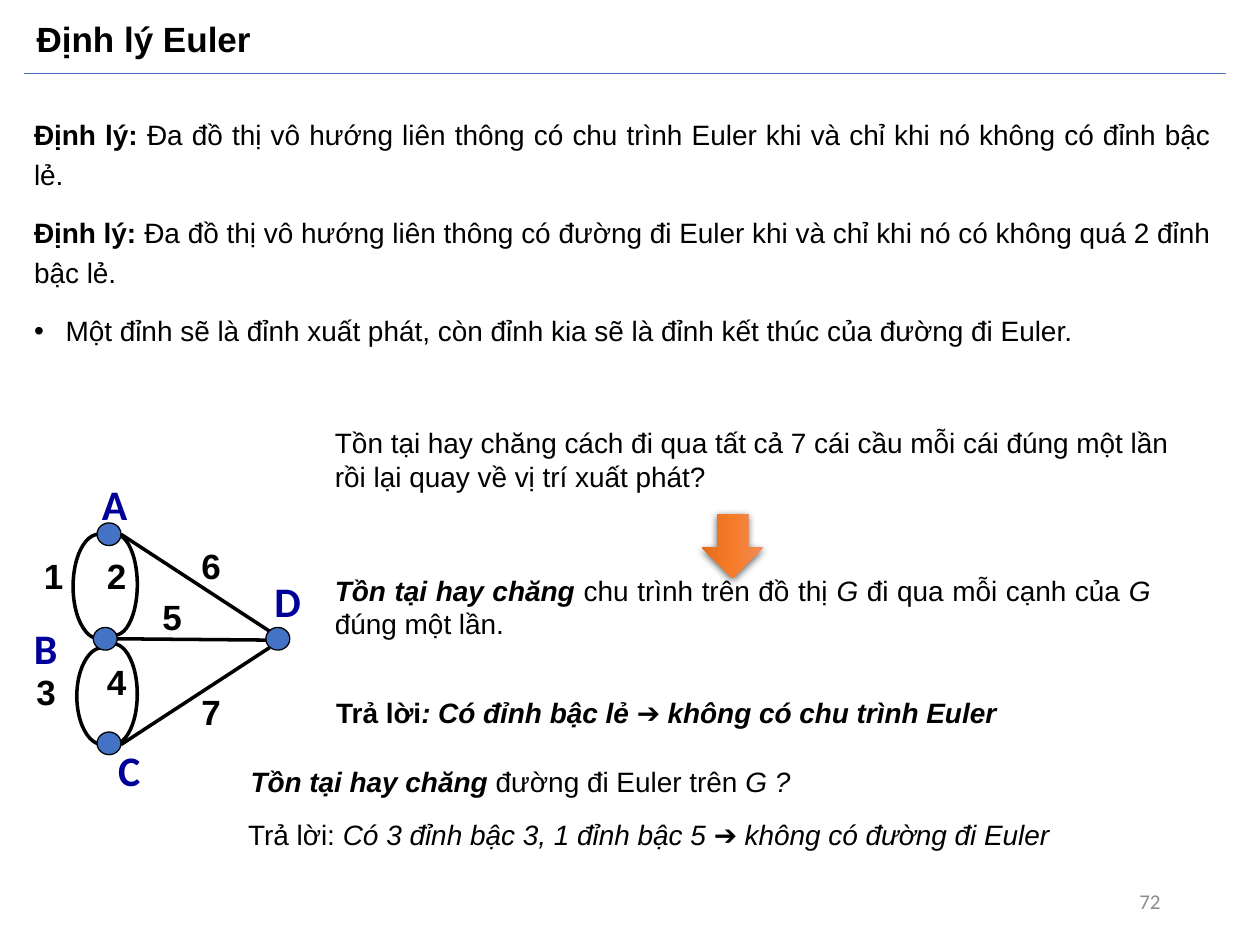
from lxml import etree
from pptx import Presentation
from pptx.dml.color import RGBColor
from pptx.enum.shapes import MSO_CONNECTOR, MSO_SHAPE
from pptx.enum.text import MSO_ANCHOR, MSO_AUTO_SIZE, PP_ALIGN
from pptx.oxml import parse_xml
from pptx.oxml.ns import nsdecls, qn
from pptx.util import Inches, Pt

BLACK = RGBColor(0x00, 0x00, 0x00)
WHITE = RGBColor(0xFF, 0xFF, 0xFF)
BLUE = RGBColor(0x44, 0x72, 0xC4)
NAVY = RGBColor(0x00, 0x00, 0x99)
GREY = RGBColor(0x8C, 0x8C, 0x8C)


def write_spans(para, spans, size=16, font="Arial", color=BLACK, align=PP_ALIGN.LEFT):
    """Each span is (text, style); style holds b for bold and i for italic."""
    para.alignment = align
    for text, style in spans:
        span = para.add_run()
        span.text = text
        span.font.name = font
        span.font.size = Pt(size)
        span.font.color.rgb = color
        span.font.bold = "b" in style
        span.font.italic = "i" in style


def add_text(spans, left, top, width, height, wrap=True, grow=True, **text_format):
    box = page.shapes.add_textbox(Inches(left), Inches(top), Inches(width), Inches(height))
    frame = box.text_frame
    frame.word_wrap = wrap
    frame.auto_size = MSO_AUTO_SIZE.SHAPE_TO_FIT_TEXT if grow else MSO_AUTO_SIZE.NONE
    write_spans(frame.paragraphs[0], spans, **text_format)
    return box


deck = Presentation()
deck.slide_width, deck.slide_height = Inches(10), Inches(7.5)
page = deck.slides.add_slide(deck.slide_layouts[1])

# Slide number
number = add_text([("72", "")], 7.06, 6.95, 2.25, 0.4, grow=False, size=12,
                  font="Calibri", color=GREY, align=PP_ALIGN.RIGHT)
number.text_frame.vertical_anchor = MSO_ANCHOR.MIDDLE

# Title
title = page.shapes.title
title.left, title.top, title.width, title.height = map(Inches, (0.19, 0.08, 8.62, 0.5))
title.text_frame.auto_size = MSO_AUTO_SIZE.NONE
title.text_frame.vertical_anchor = MSO_ANCHOR.MIDDLE
heading = title.text_frame.paragraphs[0]
heading.line_spacing = 0.9
write_spans(heading, [("Định lý Euler", "b")], size=20)

# Theorems
theorems = [
    [("Định lý: ", "b"), ("Đa đồ thị vô hướng liên thông có chu trình Euler khi và chỉ khi "
                          "nó không có đỉnh bậc lẻ.", "")],
    [("Định lý: ", "b"), ("Đa đồ thị vô hướng liên thông có đường đi Euler khi và chỉ khi "
                          "nó có không quá 2 đỉnh bậc lẻ.", "")],
    [("Một đỉnh sẽ là đỉnh xuất phát, còn đỉnh kia sẽ là đỉnh kết thúc của "
      "đường đi Euler.", "")],
]
body = page.placeholders[1]
body.left, body.top, body.width, body.height = map(Inches, (0.17, 0.83, 9.54, 2.33))
frame = body.text_frame
frame.auto_size = MSO_AUTO_SIZE.NONE
for index, spans in enumerate(theorems):
    para = frame.add_paragraph() if index else frame.paragraphs[0]
    para.line_spacing = 1.2
    para.space_before = Pt(10)
    write_spans(para, spans, align=PP_ALIGN.JUSTIFY)
    bulleted = index == len(theorems) - 1
    indent = Inches(0.25) if bulleted else 0
    properties = para._p.get_or_add_pPr()
    properties.set("marL", str(indent))
    properties.set("indent", str(-indent))
    if bulleted:
        etree.SubElement(properties, qn("a:buFont")).set("typeface", "Arial")
        etree.SubElement(properties, qn("a:buChar")).set("char", "•")
    else:
        etree.SubElement(properties, qn("a:buNone"))

# Curved edges 3, 4, 1 and 2: left ones are mirrored
LEFT_ARC, RIGHT_ARC = (157.65, 54.72), (158.88, 58.35)
for left, top, width, height, mirrored in [
    (0.71, 5.11, 0.38, 0.8, False),
    (0.61, 5.14, 0.41, 0.77, True),
    (0.58, 4.24, 0.41, 0.83, True),
    (0.74, 4.24, 0.35, 0.8, False),
]:
    arc = page.shapes.add_shape(MSO_SHAPE.ARC, Inches(left), Inches(top),
                                Inches(width), Inches(height))
    arc.adjustments[0], arc.adjustments[1] = LEFT_ARC if mirrored else RIGHT_ARC
    if mirrored:
        arc._element.spPr.find(qn("a:xfrm")).set("flipH", "1")
    arc.shadow.inherit = False
    arc.fill.solid()
    arc.fill.fore_color.rgb = WHITE
    arc.line.color.rgb = BLACK
    arc.line.width = Pt(2)

# Vertices C, D, B, A
for left, top in [(0.77, 5.81), (2.11, 4.98), (0.74, 4.98), (0.77, 4.15)]:
    vertex = page.shapes.add_shape(MSO_SHAPE.OVAL, Inches(left), Inches(top),
                                   Inches(0.19), Inches(0.18))
    vertex.shadow.inherit = False
    vertex.fill.solid()
    vertex.fill.fore_color.rgb = BLUE
    vertex.line.color.rgb = BLACK
    vertex.line.width = Pt(0.75)

# Title rule and straight edges 6, 5, 7
for x1, y1, x2, y2, color, weight in [
    (0.19, 0.58, 9.73, 0.58, BLUE, 0.5),
    (0.96, 4.24, 2.14, 5.01, BLACK, 2),
    (0.93, 5.07, 2.11, 5.08, BLACK, 2),
    (0.96, 5.91, 2.14, 5.14, BLACK, 2),
]:
    edge = page.shapes.add_connector(MSO_CONNECTOR.STRAIGHT, Inches(x1), Inches(y1),
                                     Inches(x2), Inches(y2))
    edge.line.color.rgb = color
    edge.line.width = Pt(weight)
    etree.SubElement(edge._element.spPr, qn("a:effectLst"))

# Vertex names
for name, left, top in [("A", 0.71, 3.75), ("B", 0.17, 4.89), ("D", 2.08, 4.52), ("C", 0.84, 5.86)]:
    add_text([(name, "b")], left, top, 0.34, 0.37, wrap=False, size=24,
             font="Calibri", color=NAVY)

# Edge numbers
for name, left, top in [("1", 0.25, 4.35), ("2", 0.75, 4.35), ("6", 1.5, 4.27), ("5", 1.19, 4.68),
                        ("3", 0.19, 5.27), ("4", 0.75, 5.19), ("7", 1.5, 5.43)]:
    add_text([(name, "b")], left, top, 0.36, 0.44, wrap=False, size=20)

# Bridge question and its graph form
add_text([("Tồn tại hay chăng cách đi qua tất cả 7 cái cầu mỗi cái đúng một lần "
           "rồi lại quay về vị trí xuất phát?", "")], 2.56, 3.33, 6.85, 0.64)
add_text([("Tồn tại hay chăng ", "bi"), ("chu trình trên đồ thị ", ""), ("G ", "i"),
          ("đi qua mỗi cạnh của ", ""), ("G ", "i"), ("đúng một lần.", "")],
         2.56, 4.5, 6.67, 0.64, align=PP_ALIGN.JUSTIFY)

# Orange arrow between the questions
arrow = page.shapes.add_shape(MSO_SHAPE.RIGHT_ARROW, Inches(5.56), Inches(4.09),
                              Inches(0.51), Inches(0.49))
arrow.rotation = 90
arrow.line.fill.background()
arrow_look = arrow._element.spPr
arrow_look.insert(2, parse_xml(
    f'<a:gradFill {nsdecls("a")} rotWithShape="1"><a:gsLst>'
    '<a:gs pos="0"><a:srgbClr val="F18C57"/></a:gs>'
    '<a:gs pos="50000"><a:srgbClr val="F67B28"/></a:gs>'
    '<a:gs pos="100000"><a:srgbClr val="E56C19"/></a:gs>'
    '</a:gsLst><a:lin ang="5400000" scaled="0"/></a:gradFill>'))
arrow_look.append(parse_xml(
    f'<a:effectLst {nsdecls("a")}><a:outerShdw blurRad="{Pt(4.5)}" dist="{Pt(1.5)}" '
    'dir="5400000" algn="ctr" rotWithShape="0"><a:srgbClr val="000000">'
    '<a:alpha val="63000"/></a:srgbClr></a:outerShdw></a:effectLst>'))

# Answers
for left, top, width, spans in [
    (2.57, 5.47, 6.67, [("Trả lời", "b"),
                        (": Có đỉnh bậc lẻ ➔ không có chu trình Euler", "bi")]),
    (1.89, 6.02, 6.67, [("Tồn tại hay chăng ", "bi"), ("đường đi Euler trên ", ""), ("G ?", "i")]),
    (1.87, 6.44, 7.55, [("Trả lời: ", ""),
                        ("Có 3 đỉnh bậc 3, 1 đỉnh bậc 5 ➔ không có đường đi Euler", "i")]),
]:
    add_text(spans, left, top, width, 0.37, align=PP_ALIGN.JUSTIFY)

deck.save("out.pptx")
